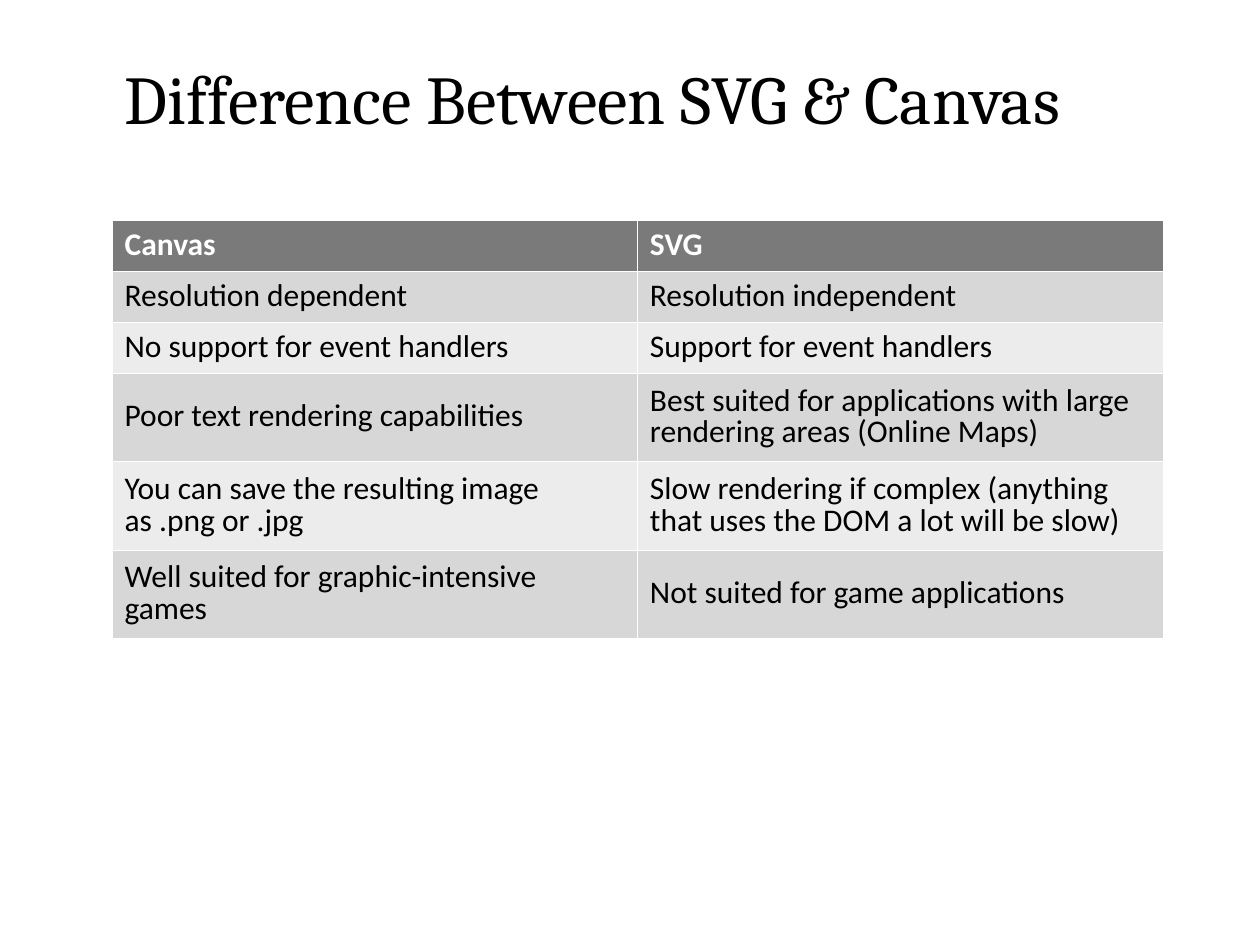
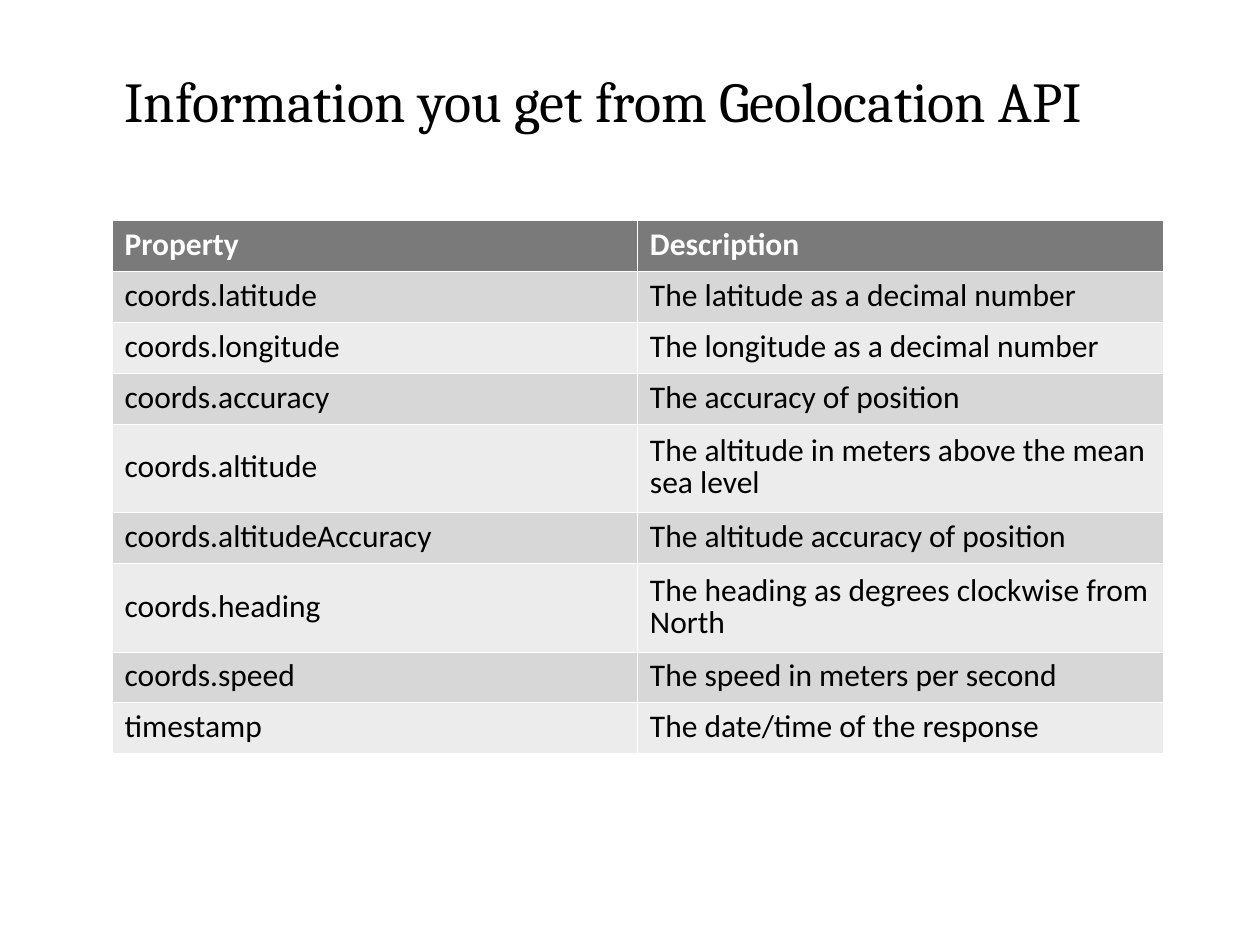
"""Build two slides that each hold a title and a two-column table."""
from lxml import etree
from pptx import Presentation
from pptx.dml.color import RGBColor
from pptx.enum.text import MSO_ANCHOR, MSO_AUTO_SIZE, PP_ALIGN
from pptx.oxml.ns import qn
from pptx.util import Pt

MIDDLE = MSO_ANCHOR.MIDDLE
NO_FIT = MSO_AUTO_SIZE.NONE
LEFT = PP_ALIGN.LEFT

BLACK, WHITE = "000000", "FFFFFF"
HEADER_FILL = "7A7A7A"
BAND_FILLS = ["ECECEC", "D7D7D7"]

MARGIN_LEFT, TABLE_TOP = 64, 126
COLUMN_WIDTH = 300.24
SINGLE_HEIGHT, DOUBLE_HEIGHT = 29.1, 50.5
LONGEST_SINGLE_LINE = 36
THIN, THICK = 0.23, 0.75
TITLE_ONLY = 5

SLIDES = [
    {
        "title": "Difference Between SVG & Canvas",
        "top": 13.7, "size": 39.1, "spacing": 0.9,
        "rows": [
            ("Canvas", "SVG"),
            ("Resolution dependent", "Resolution independent"),
            ("No support for event handlers", "Support for event handlers"),
            ("Poor text rendering capabilities",
             "Best suited for applications with large rendering areas (Online Maps)"),
            ("You can save the resulting image as .png or .jpg",
             "Slow rendering if complex (anything that uses the DOM a lot will be slow)"),
            ("Well suited for graphic-intensive games", "Not suited for game applications"),
        ],
    },
    {
        "title": "Information you get from Geolocation API",
        "top": 15.8, "size": 32.2, "spacing": 0.8,
        "rows": [
            ("Property", "Description"),
            ("coords.latitude", "The latitude as a decimal number"),
            ("coords.longitude", "The longitude as a decimal number"),
            ("coords.accuracy", "The accuracy of position"),
            ("coords.altitude", "The altitude in meters above the mean sea level"),
            ("coords.altitudeAccuracy", "The altitude accuracy of position"),
            ("coords.heading", "The heading as degrees clockwise from North"),
            ("coords.speed", "The speed in meters per second"),
            ("timestamp", "The date/time of the response"),
        ],
    },
]


def paint(target, colour):
    """Give a fill or font colour object a hex colour."""
    target.rgb = RGBColor.from_string(colour)


def write(frame, text, spacing, colour, font_format):
    """Put one formatted line of text into a text frame."""
    para = frame.paragraphs[0]
    para.alignment = LEFT
    para.line_spacing = spacing
    span = para.add_run()
    span.text = text
    for name, value in font_format.items():
        setattr(span.font, name, value)
    paint(span.font.color, colour)


deck = Presentation()
deck.slide_width, deck.slide_height = Pt(720), Pt(540)

for content in SLIDES:
    page = deck.slides.add_slide(deck.slide_layouts[TITLE_ONLY])
    title = page.shapes.title
    place = {"left": MARGIN_LEFT, "top": content["top"], "width": 600, "height": 90}
    for name, value in place.items():
        setattr(title, name, Pt(value))
    frame_format = {"word_wrap": True, "auto_size": NO_FIT, "vertical_anchor": MIDDLE}
    for name, value in frame_format.items():
        setattr(title.text_frame, name, value)
    write(title.text_frame, content["title"], content["spacing"], BLACK,
          {"name": "Cambria", "size": Pt(content["size"])})

    rows = content["rows"]
    heights = [DOUBLE_HEIGHT if max(map(len, row)) > LONGEST_SINGLE_LINE else SINGLE_HEIGHT
               for row in rows]
    table = page.shapes.add_table(
        len(rows), 2, Pt(MARGIN_LEFT), Pt(TABLE_TOP),
        Pt(2 * COLUMN_WIDTH), Pt(sum(heights))).table
    for column in table.columns:
        column.width = Pt(COLUMN_WIDTH)

    for row_index, (row, height) in enumerate(zip(rows, heights)):
        table.rows[row_index].height = Pt(height)
        is_header = row_index == 0
        borders = {
            "a:lnL": THIN, "a:lnR": THIN,
            "a:lnT": THICK if row_index == 1 else THIN,
            "a:lnB": THICK if is_header else THIN,
        }
        for column_index, text in enumerate(row):
            cell = table.cell(row_index, column_index)
            cell.vertical_anchor = MIDDLE
            cell.fill.solid()
            paint(cell.fill.fore_color, HEADER_FILL if is_header else BAND_FILLS[row_index % 2])
            write(cell.text_frame, text, 0.83, WHITE if is_header else BLACK,
                  {"name": "Calibri", "size": Pt(18), "bold": is_header})
            properties = cell._tc.get_or_add_tcPr()
            for position, (tag, width) in enumerate(borders.items()):
                line = etree.Element(qn(tag), w=str(Pt(width)))
                fill = etree.SubElement(line, qn("a:solidFill"))
                etree.SubElement(fill, qn("a:srgbClr"), val=WHITE)
                properties.insert(position, line)

deck.save("out.pptx")
